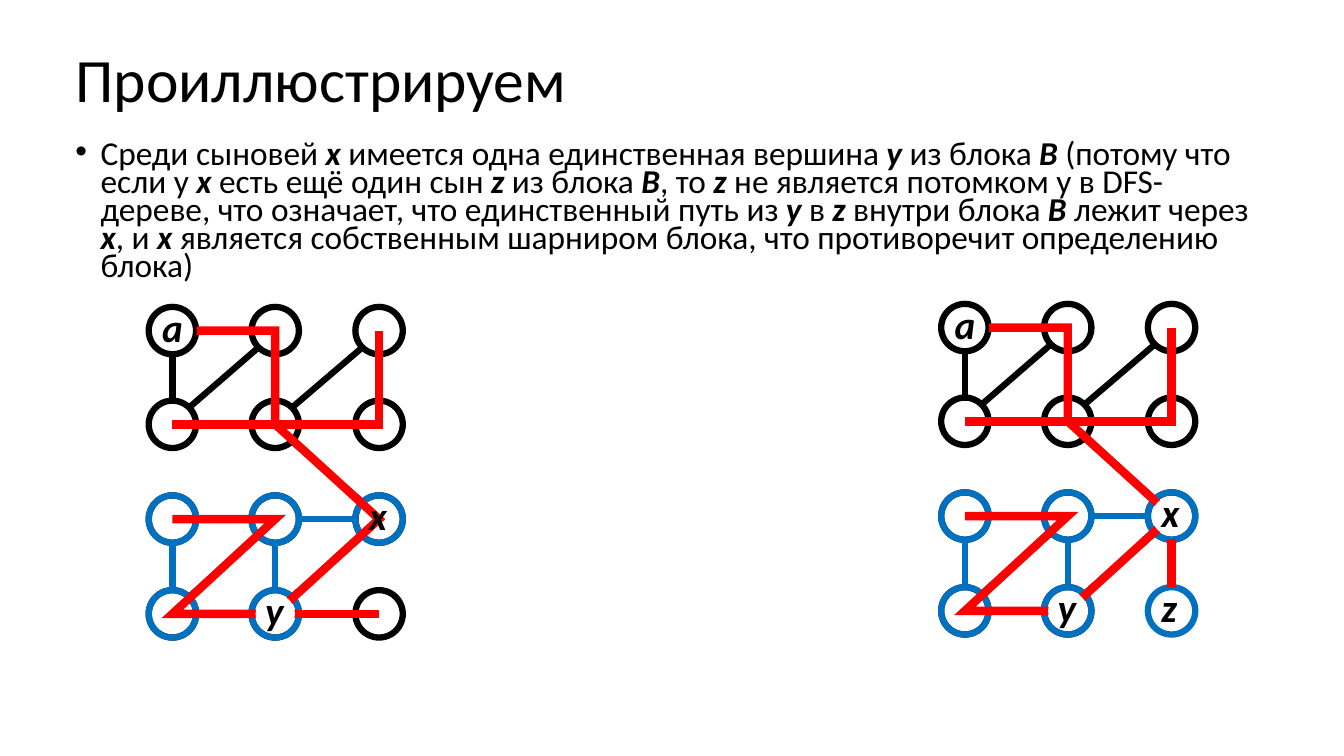
"""Build a slide that illustrates the block of a graph with two DFS trees."""
import pptx
import pptx.dml.color
import pptx.enum.shapes
import pptx.enum.text
import pptx.oxml.ns
import pptx.util
from lxml import etree

PX = 9144
FONT = "Calibri"
COLORS = {"black": "000000", "white": "FFFFFF", "block": "0070C0", "tree": "FF0000"}

TITLE = "Проиллюстрируем"
BODY = [
    ("Среди сыновей ", False), ("х", True),
    (" имеется одна единственная вершина ", False), ("y ", True),
    ("из блока ", False), ("B", True),
    (" (потому что если у ", False), ("х", True),
    (" есть ещё один сын ", False), ("z", True),
    (" из блока ", False), ("В", True),
    (", то ", False), ("z ", True),
    ("не является потомком у в DFS-дереве, что означает, что единственный путь из ", False),
    ("у", True), (" в ", False), ("z ", True),
    ("внутри блока ", False), ("B ", True),
    ("лежит через ", False), ("x", True), (", и ", False), ("х", True),
    (" является собственным шарниром блока, что противоречит определению блока)", False),
]

COLUMNS = [171, 273, 376]
ROWS = [328, 421, 515, 609]
NODE_SIZE = 47
DISC_SIZE = 39
RADIUS = 23
DIAGONAL = 17
NODES = [(column, row) for row in range(4) for column in range(3)]
BLOCK_NODES = [(0, 2), (1, 2), (0, 3), (1, 3), (2, 2)]
UPPER_EDGES = [
    ((0, 0), (0, 1)), ((1, 0), (1, 1)), ((2, 0), (2, 1)),
    ((0, 0), (1, 0)), ((0, 1), (1, 1)), ((1, 1), (2, 1)),
    ((0, 1), (1, 0)), ((1, 1), (2, 0)), ((1, 1), (2, 2)),
]
BLOCK_EDGES = [
    ((0, 2), (0, 3)), ((1, 2), (1, 3)), ((1, 2), (2, 2)), ((0, 2), (1, 2)),
    ((1, 3), (2, 2)), ((0, 3), (1, 3)), ((0, 3), (1, 2)),
]
LONG_PATH = [(1, 0), (1, 1), (2, 2), (1, 3), (0, 3), (1, 2), (0, 2)]
SHORT_PATH = [(1, 1), (2, 1), (2, 0)]
GRAPHS = [
    {"offset": (0, 0), "extra_edges": [((1, 3), (2, 3))], "extra_block": [],
     "tree_lines": [((0, 1), (1, 1)), ((1, 3), (2, 3))],
     "labels": [("х", (2, 2), False), ("y", (1, 3), True)], "child_edges": []},
    {"offset": (786, -3), "extra_edges": [], "extra_block": [(2, 3)],
     "tree_lines": [((0, 1), (1, 1))],
     "labels": [("х", (2, 2), True), ("y", (1, 3), True), ("z", (2, 3), True)],
     "child_edges": [((2, 2), (2, 3))]},
]


def emu(*lengths):
    return [int(length * PX) for length in lengths]


def rgb(name):
    return pptx.dml.color.RGBColor.from_string(COLORS[name])


def add_run(paragraph, text, size, emphasis=False):
    run = paragraph.add_run()
    run.text = text
    run.font.name = FONT
    run.font.size = pptx.util.Pt(size)
    run.font.bold = run.font.italic = emphasis
    run.font.color.rgb = rgb("black")


def set_line(shape, color, width):
    shape.line.color.rgb = rgb(color)
    shape.line.width = pptx.util.Pt(width)


def center_of(node, offset):
    column, row = node
    return COLUMNS[column] + offset[0], ROWS[row] + offset[1]


def add_circle(shapes, center, size, line=None, fill=None):
    left, top = center[0] - size / 2, center[1] - size / 2
    circle = shapes.add_shape(pptx.enum.shapes.MSO_SHAPE.OVAL, *emu(left, top, size, size))
    circle.shadow.inherit = False
    if fill:
        circle.fill.solid()
        circle.fill.fore_color.rgb = rgb(fill)
    else:
        circle.fill.background()
    if line:
        set_line(circle, line, 4.5)
    else:
        circle.line.fill.background()


def add_edge(shapes, edge, offset, color, width, trimmed=True):
    (x1, y1), (x2, y2) = [center_of(node, offset) for node in edge]
    step_x, step_y = edge[1][0] - edge[0][0], edge[1][1] - edge[0][1]
    trim = (DIAGONAL if step_x and step_y else RADIUS) if trimmed else 0
    line = shapes.add_connector(
        pptx.enum.shapes.MSO_CONNECTOR.STRAIGHT,
        *emu(x1 + step_x * trim, y1 + step_y * trim, x2 - step_x * trim, y2 - step_y * trim))
    set_line(line, color, width)
    etree.SubElement(line._element.spPr, pptx.oxml.ns.qn("a:effectLst"))


def add_path(shapes, points):
    builder = shapes.build_freeform(*points[0], scale=PX)
    builder.add_line_segments(points[1:], close=False)
    path = builder.convert_to_shape()
    path.shadow.inherit = False
    path.fill.background()
    set_line(path, "tree", 6)
    line = path._element.spPr.find(pptx.oxml.ns.qn("a:ln"))
    etree.SubElement(line, pptx.oxml.ns.qn("a:miter"), lim="800000")


def add_label(shapes, text, center):
    box = shapes.add_textbox(*emu(center[0] - 20, center[1] - 32, 39, 57))
    box.text_frame.word_wrap = False
    add_run(box.text_frame.paragraphs[0], text, 28, True)


def add_graph(slide, graph):
    offset = graph["offset"]
    base = slide.shapes.add_group_shape().shapes
    for node in NODES:
        color = "block" if node in graph["extra_block"] else "black"
        add_circle(base, center_of(node, offset), NODE_SIZE, line=color)
    for edge in UPPER_EDGES + BLOCK_EDGES + graph["extra_edges"]:
        add_edge(base, edge, offset, "black", 4.5)
    add_label(base, "а", center_of((0, 0), offset))

    block = slide.shapes.add_group_shape().shapes
    for node in BLOCK_NODES:
        add_circle(block, center_of(node, offset), NODE_SIZE, line="block")
    for edge in BLOCK_EDGES:
        add_edge(block, edge, offset, "block", 4.5)

    tree = slide.shapes.add_group_shape().shapes
    root_x, root_y = center_of((0, 0), offset)
    start = (root_x + RADIUS + 1, root_y)
    add_path(tree, [start] + [center_of(node, offset) for node in LONG_PATH])
    add_path(tree, [center_of(node, offset) for node in SHORT_PATH])
    for edge in graph["tree_lines"]:
        add_edge(tree, edge, offset, "tree", 6, trimmed=False)

    for text, node, has_disc in graph["labels"]:
        center = center_of(node, offset)
        if has_disc:
            add_circle(slide.shapes, center, DISC_SIZE, fill="white")
        add_label(slide.shapes, text, center)
    for edge in graph["child_edges"]:
        add_edge(slide.shapes, edge, offset, "tree", 6)


def add_title(slide):
    title = slide.shapes.title
    title.left, title.top, title.width, title.height = emu(65, 9, 1204, 145)
    frame = title.text_frame
    frame.auto_size = pptx.enum.text.MSO_AUTO_SIZE.NONE
    frame.vertical_anchor = pptx.enum.text.MSO_ANCHOR.MIDDLE
    paragraph = frame.paragraphs[0]
    paragraph.alignment = pptx.enum.text.PP_ALIGN.LEFT
    paragraph.line_spacing = 0.9
    add_run(paragraph, TITLE, 44)


def add_body(slide):
    frame = slide.shapes.add_textbox(*emu(65, 137, 1204, 154)).text_frame
    frame.word_wrap = True
    paragraph = frame.paragraphs[0]
    paragraph.line_spacing = 0.7
    paragraph.space_before = pptx.util.Pt(10)
    properties = paragraph._p.get_or_add_pPr()
    properties.set("marL", str(25 * PX))
    properties.set("indent", str(-25 * PX))
    etree.SubElement(properties, pptx.oxml.ns.qn("a:buFont"), typeface="Arial")
    etree.SubElement(properties, pptx.oxml.ns.qn("a:buChar"), char="•")
    for text, emphasis in BODY:
        add_run(paragraph, text, 23.8, emphasis)


def main():
    presentation = pptx.Presentation()
    presentation.slide_width, presentation.slide_height = emu(1333, 750)
    slide = presentation.slides.add_slide(presentation.slide_layouts[5])
    add_title(slide)
    add_body(slide)
    for graph in GRAPHS:
        add_graph(slide, graph)
    presentation.save("out.pptx")


if __name__ == "__main__":
    main()
